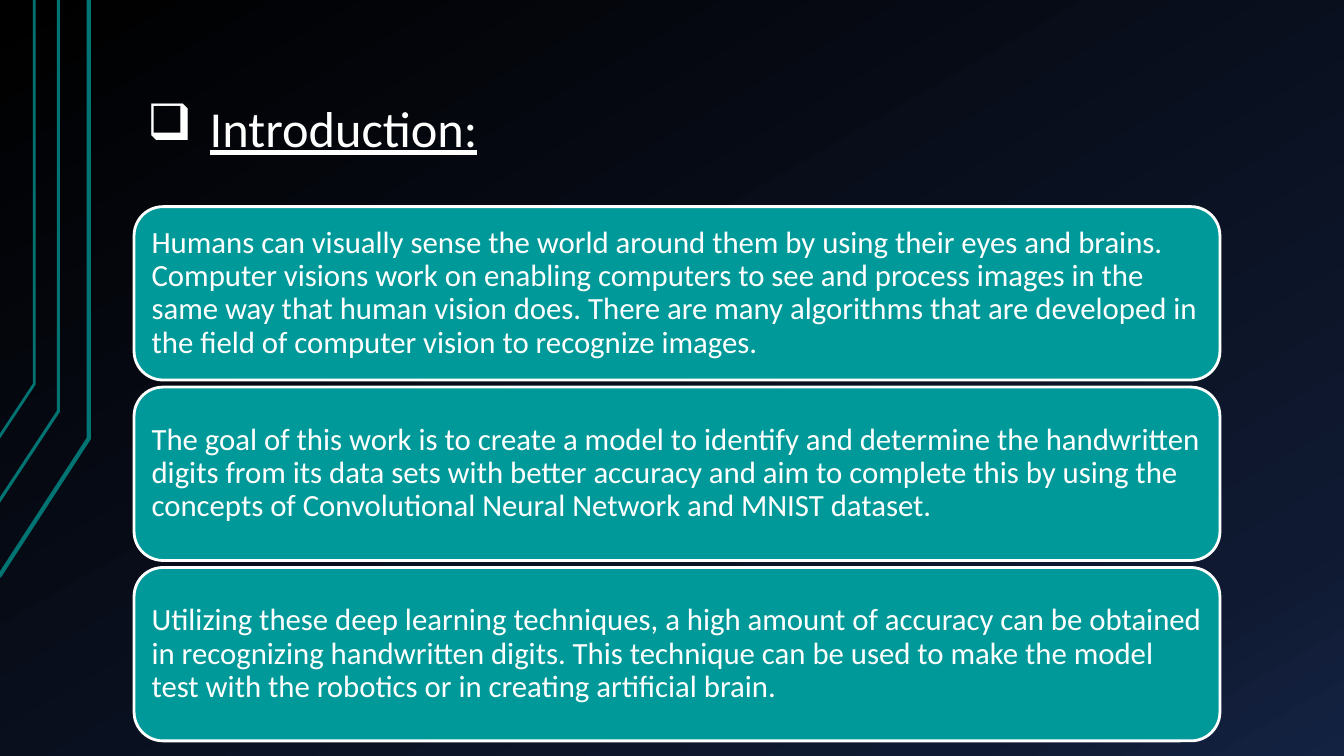
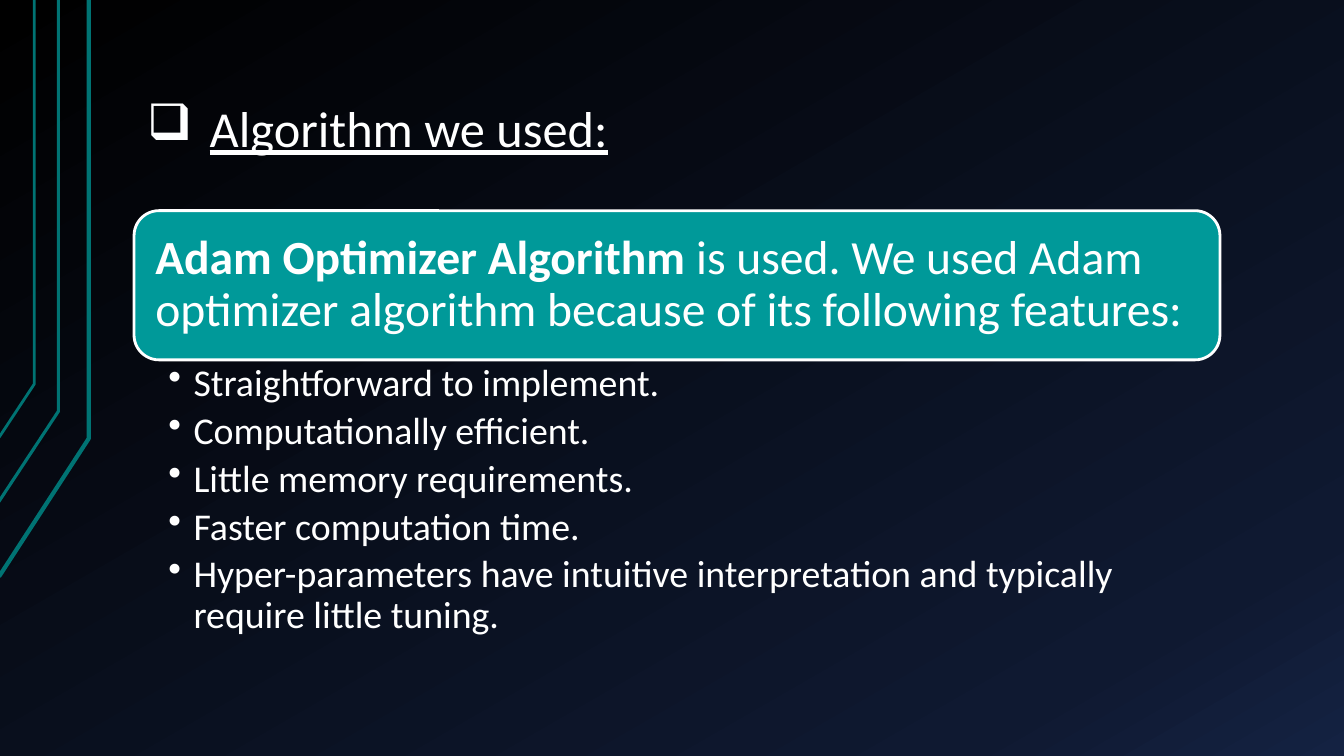
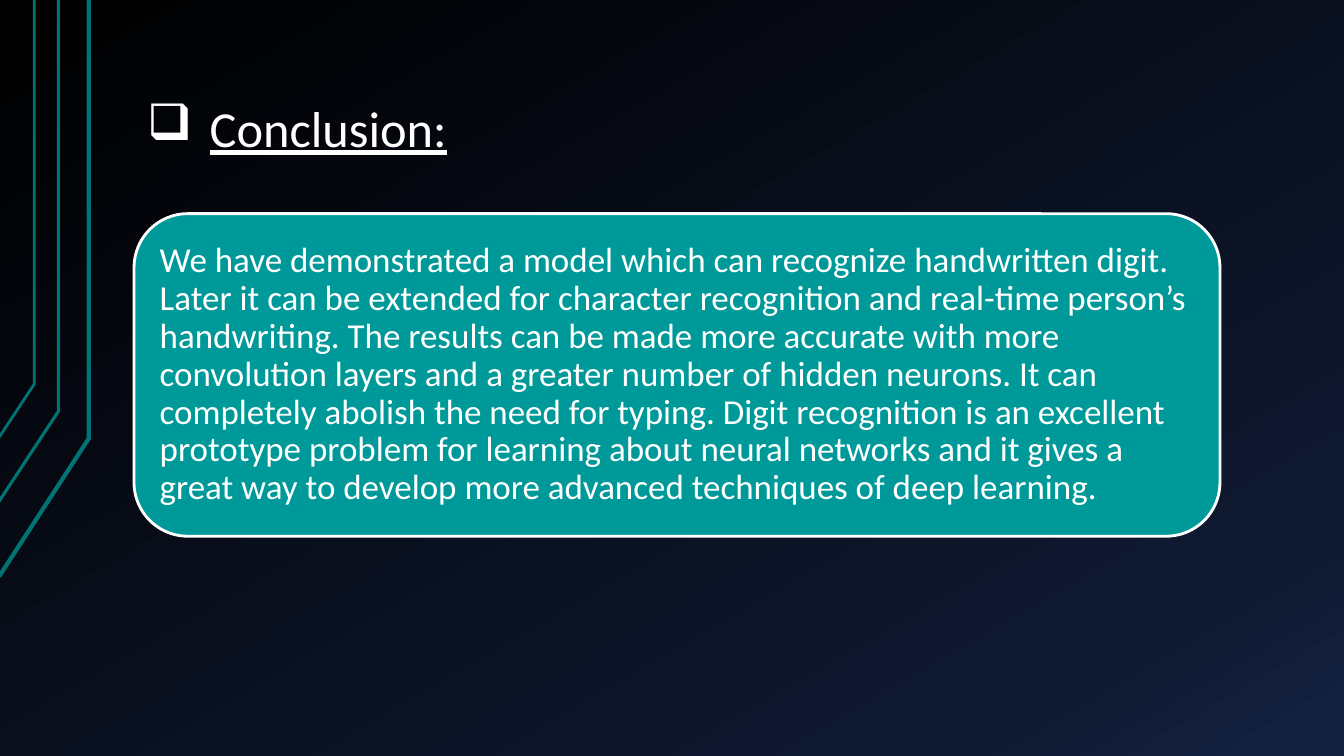
from copy import deepcopy
from dataclasses import dataclass

from lxml.etree import SubElement
from pptx import Presentation
from pptx.dml.color import RGBColor
from pptx.enum.shapes import MSO_SHAPE
from pptx.enum.text import MSO_ANCHOR, MSO_AUTO_SIZE, PP_ALIGN
from pptx.oxml.ns import qn
from pptx.util import Inches, Pt


@dataclass(frozen=True)
class Theme:
    font: str = "Calibri"
    text: str = "FFFFFF"
    card: str = "009999"
    accent: str = "007373"
    backdrop: tuple = ((0, "000000"), (0.85, "0F1931"), (1, "142242"))
    backdrop_angle: int = 300
    title_size: float = 36
    card_size: float = 22
    conclusion_size: float = 25
    lead_size: float = 34
    feature_size: float = 27
    border: float = 2
    line_spacing: float = 0.9
    left: float = 1.33
    width: float = 10.77


# Circuit traces down the left edge: line width, then points
TRACES = (
    (3, ((-0.01, 5.72), (0.88, 4.35), (0.88, 0))),
    (2.25, ((-0.02, 4.99), (0.58, 4.08), (0.58, 0))),
    (2, ((-0.01, 4.34), (0.34, 3.81), (0.34, 0))),
)


def assign(target, values):
    for name, value in values.items():
        setattr(target, name, value)


class Deck:
    def __init__(self, theme):
        self.theme = theme
        self.presentation = Presentation()
        assign(self.presentation, {"slide_width": Inches(13.33),
                                   "slide_height": Inches(7.5)})
        self.layout = self.presentation.slide_layouts[5]
        self.slide = None
        self.paint_backdrop()

    def paint_backdrop(self):
        master = self.presentation.slide_master
        fill = master.background.fill
        fill.gradient()
        fill.gradient_angle = self.theme.backdrop_angle
        stops = master.element.xpath(".//p:bgPr/a:gradFill/a:gsLst")[0]
        stops.append(deepcopy(stops[0]))
        for stop, (position, color) in zip(fill.gradient_stops, self.theme.backdrop):
            stop.position = position
            stop.color.rgb = RGBColor.from_string(color)

    def add_traces(self):
        """Draw the traces and hand them to the layout all slides share."""
        for weight, points in TRACES:
            start, *rest = [(Inches(x), Inches(y)) for x, y in points]
            builder = self.slide.shapes.build_freeform(*start)
            builder.add_line_segments(rest, close=False)
            trace = builder.convert_to_shape()
            trace.fill.background()
            self.outline(trace, self.theme.accent, weight)
            self.layout.shapes.element.append(trace.element)

    def outline(self, shape, color, weight):
        shape.shadow.inherit = False
        shape.line.color.rgb = RGBColor.from_string(color)
        shape.line.width = Pt(weight)

    def frame(self, shape, anchor, insets):
        left, top, right, bottom = map(Inches, insets)
        assign(shape.text_frame, {
            "word_wrap": True, "auto_size": MSO_AUTO_SIZE.NONE,
            "vertical_anchor": anchor, "margin_left": left, "margin_top": top,
            "margin_right": right, "margin_bottom": bottom})
        return shape.text_frame

    def add_text(self, paragraph, text, size, **font):
        run = paragraph.add_run()
        run.text = text
        assign(run.font, {"name": self.theme.font, "size": Pt(size), **font})
        run.font.color.rgb = RGBColor.from_string(self.theme.text)
        assign(paragraph, {"alignment": PP_ALIGN.LEFT,
                           "line_spacing": self.theme.line_spacing})

    def bullet(self, paragraph, char, indent):
        properties = paragraph._p.get_or_add_pPr()
        properties.set("marL", str(Inches(indent)))
        properties.set("indent", str(-Inches(indent)))
        SubElement(properties, qn("a:buChar")).set("char", char)

    def start_slide(self, heading):
        self.slide = self.presentation.slides.add_slide(self.layout)
        title = self.slide.shapes.title
        assign(title, {"left": Inches(1.33), "top": Inches(0.3),
                       "width": Inches(11.33), "height": Inches(1.34)})
        frame = self.frame(title, MSO_ANCHOR.BOTTOM, (0.13, 0.07, 0.13, 0.07))
        paragraph = frame.paragraphs[0]
        self.add_text(paragraph, heading, self.theme.title_size, underline=True)
        self.bullet(paragraph, "❑", 0.62)

    def add_card(self, top, height, size, inset, text, lead=None):
        card = self.slide.shapes.add_shape(
            MSO_SHAPE.ROUNDED_RECTANGLE, Inches(self.theme.left), Inches(top),
            Inches(self.theme.width), Inches(height))
        card.fill.solid()
        card.fill.fore_color.rgb = RGBColor.from_string(self.theme.card)
        self.outline(card, self.theme.text, self.theme.border)
        frame = self.frame(card, MSO_ANCHOR.MIDDLE, (inset,) * 4)
        paragraph = frame.paragraphs[0]
        if lead:
            self.add_text(paragraph, lead, size, bold=True)
        self.add_text(paragraph, text, size)

    def add_list(self, top, height, items):
        box = self.slide.shapes.add_textbox(
            Inches(self.theme.left), Inches(top),
            Inches(self.theme.width), Inches(height))
        frame = self.frame(box, MSO_ANCHOR.TOP, (0.34, 0.05, 0.26, 0.05))
        for index, item in enumerate(items):
            paragraph = frame.add_paragraph() if index else frame.paragraphs[0]
            self.add_text(paragraph, item, self.theme.feature_size)
            paragraph.space_after = Pt(5)
            self.bullet(paragraph, "•", 0.25)


theme = Theme()
deck = Deck(theme)

# Introduction: three stacked cards
INTRODUCTION = (
    "Humans can visually sense the world around them by using their eyes and "
    "brains. Computer visions work on enabling computers to see and process "
    "images in the same way that human vision does. There are many algorithms "
    "that are developed in the field of computer vision to recognize images.",
    "The goal of this work is to create a model to identify and determine the "
    "handwritten digits from its data sets with better accuracy and aim to "
    "complete this by using the concepts of Convolutional Neural Network and "
    "MNIST dataset.",
    "Utilizing these deep learning techniques, a high amount of accuracy can be "
    "obtained in recognizing handwritten digits. This technique can be used to "
    "make the model test with the robotics or in creating artificial brain.",
)
deck.start_slide("Introduction:")
deck.add_traces()
for row, statement in enumerate(INTRODUCTION):
    deck.add_card(2.05 + 1.79 * row, 1.72, theme.card_size, 0.09, statement)

# Algorithm: lead card and its features
deck.start_slide("Algorithm we used:")
deck.add_card(2.09, 1.48, theme.lead_size, 0.14,
              "is used. We used Adam optimizer algorithm because of its "
              "following features:", lead="Adam Optimizer Algorithm ")
deck.add_list(3.56, 3, (
    "Straightforward to implement.",
    "Computationally efficient.",
    "Little memory requirements.",
    "Faster computation time.",
    "Hyper-parameters have intuitive interpretation and typically require "
    "little tuning.",
))

# Conclusion: one large card
deck.start_slide("Conclusion:")
deck.add_card(
    2.12, 3.2, theme.conclusion_size, 0.1,
    "We have demonstrated a model which can recognize handwritten digit. Later "
    "it can be extended for character recognition and real-time person’s "
    "handwriting. The results can be made more accurate with more convolution "
    "layers and a greater number of hidden neurons. It can completely abolish "
    "the need for typing. Digit recognition is an excellent prototype problem "
    "for learning about neural networks and it gives a great way to develop "
    "more advanced techniques of deep learning.")

deck.presentation.save("out.pptx")
